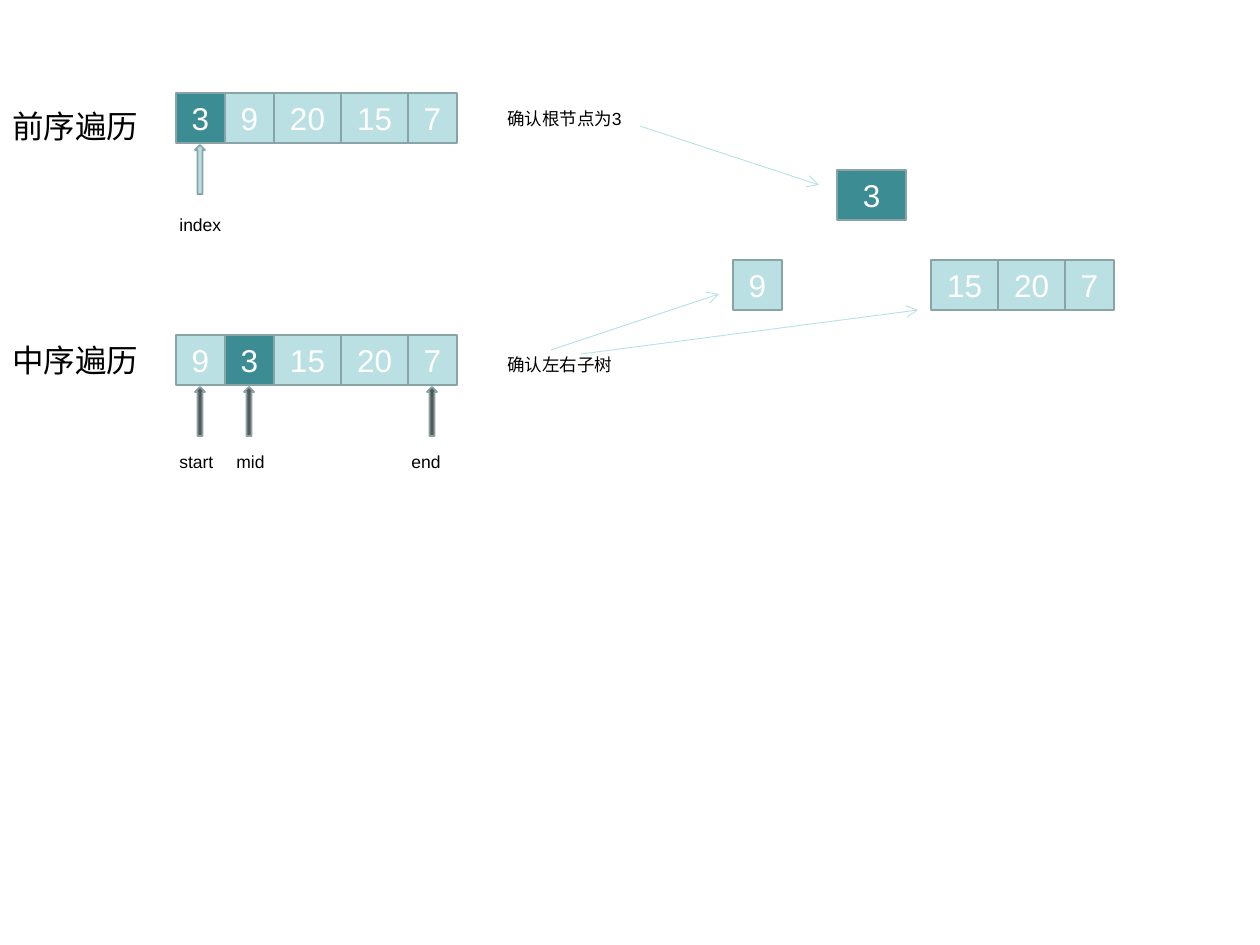
from lxml import etree
from pptx import Presentation
from pptx import util as u
from pptx.dml.color import RGBColor
from pptx.enum import shapes, text
from pptx.oxml import ns

DARK, PALE, EDGE = "3C8C93", "BBE0E3", "89A4A7"
GRAY, BLACK, WHITE = "595959", "000000", "FFFFFF"
HIGH = 50


def px(n):
    return u.Emu(round(n * 914400 / 126))


def rgb(code):
    return RGBColor.from_string(code)


def width(num):
    return 49 if len(num) == 1 else 67


class Board:
    def __init__(self, slide, font="Arial"):
        self.slide = slide
        self.font = font

    def fill_in(self, frame, words, size, color):
        frame.text = words
        for run in frame.paragraphs[0].runs:
            run.font.name = self.font
            run.font.size = u.Pt(size)
            run.font.color.rgb = rgb(color)

    def form(self, kind, x, y, w, h, fill):
        item = self.slide.shapes.add_shape(kind, px(x), px(y), px(w), px(h))
        item.shadow.inherit = False
        item.fill.solid()
        item.fill.fore_color.rgb = rgb(fill)
        item.line.color.rgb = rgb(EDGE)
        item.line.width = u.Pt(1)
        return item

    def cell(self, num, x, y, w):
        fill = DARK if num == "3" else PALE
        box = self.form(shapes.MSO_SHAPE.RECTANGLE, x, y, w, HIGH, fill)
        frame = box.text_frame
        frame.vertical_anchor = text.MSO_ANCHOR.MIDDLE
        self.fill_in(frame, num, 18, WHITE)
        frame.paragraphs[0].alignment = text.PP_ALIGN.CENTER

    def row(self, nums, x, y):
        """Draw touching cells and return the middle x of each."""
        mids = []
        for num in nums:
            w = width(num)
            self.cell(num, x, y, w)
            mids.append(x + w // 2)
            x += w
        return mids

    def mark(self, mid, y, fill):
        """Draw a thin up arrow under the middle of a cell."""
        self.form(shapes.MSO_SHAPE.UP_ARROW, mid - 5, y, 10, 49, fill)

    def label(self, words, x, y, w, h, size=10):
        box = self.slide.shapes.add_textbox(px(x), px(y), px(w), px(h))
        box.text_frame.word_wrap = True
        self.fill_in(box.text_frame, words, size, BLACK)

    def arrow(self, x1, y1, x2, y2):
        link = self.slide.shapes.add_connector(
            shapes.MSO_CONNECTOR.STRAIGHT, px(x1), px(y1), px(x2), px(y2))
        link.line.color.rgb = rgb(PALE)
        link.line.width = u.Pt(0.5)
        props = link._element.spPr
        tip = etree.SubElement(props.find(ns.qn("a:ln")), ns.qn("a:tailEnd"))
        tip.set("type", "arrow")
        etree.SubElement(props, ns.qn("a:effectLst"))


def main():
    deck = Presentation()
    deck.slide_width, deck.slide_height = u.Inches(10), u.Inches(7.5)
    board = Board(deck.slides.add_slide(deck.slide_layouts[6]))

    board.label("前序遍历", 0, 101, 175, HIGH, 18)
    pre = board.row(["3", "9", "20", "15", "7"], 176, 93)
    board.mark(pre[0], 145, PALE)
    board.label("index", 167, 208, 107, 34)

    board.label("中序遍历", 0, 335, 175, HIGH, 18)
    mids = board.row(["9", "3", "15", "20", "7"], 176, 335)
    for name, spot, x in (("start", 0, 167), ("mid", 1, 224), ("end", 4, 399)):
        board.mark(mids[spot], 387, GRAY)
        board.label(name, x, 445, 68, 34)

    board.cell("3", 837, 170, 69)
    board.row(["9"], 733, 260)
    board.row(["15", "20", "7"], 931, 260)

    board.label("确认根节点为3", 495, 102, 213, 34)
    board.label("确认左右子树", 495, 348, 213, 34)
    for ends in ((640, 126, 819, 185), (551, 350, 719, 294),
                 (581, 354, 918, 310)):
        board.arrow(*ends)

    deck.save("out.pptx")


if __name__ == "__main__":
    main()
